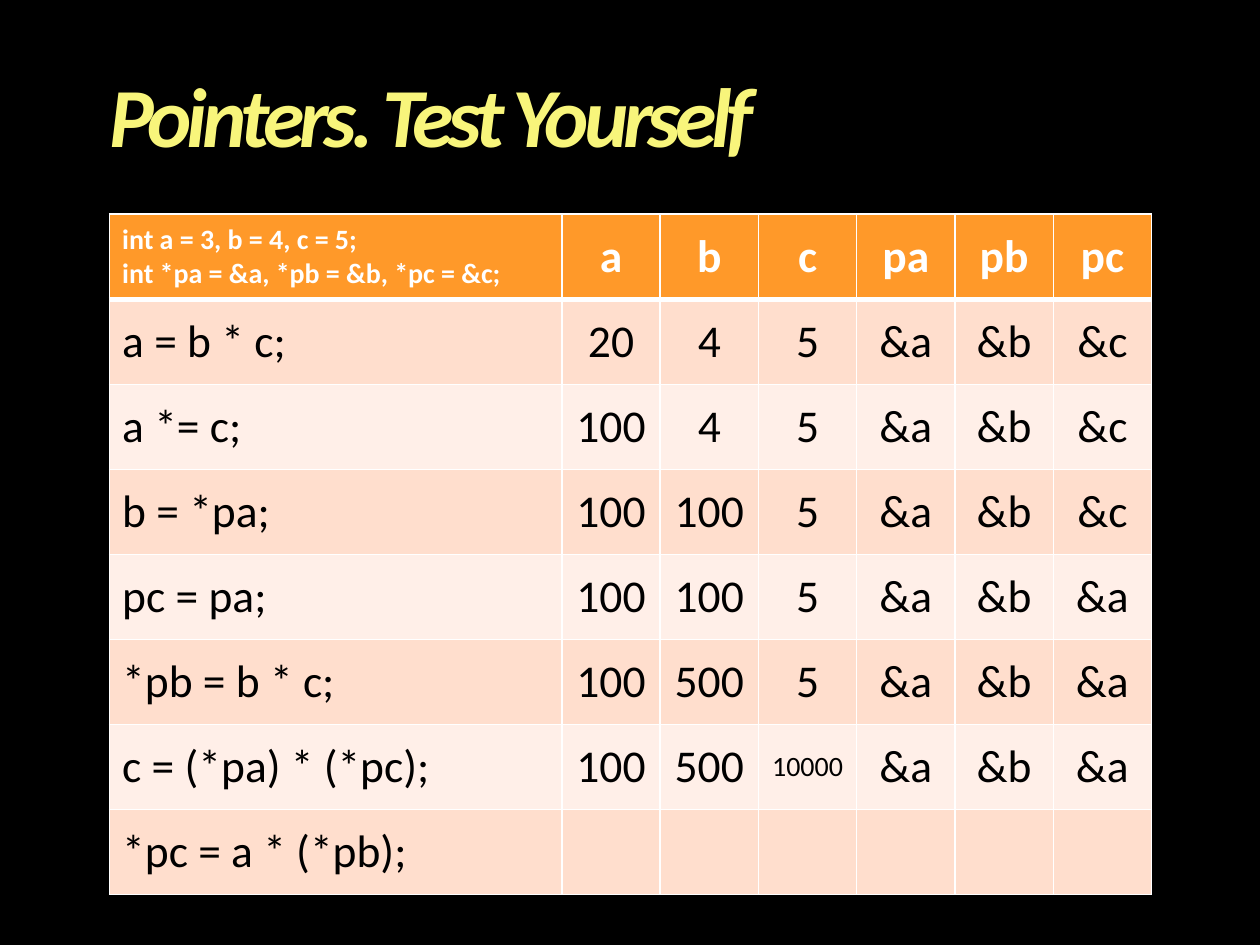
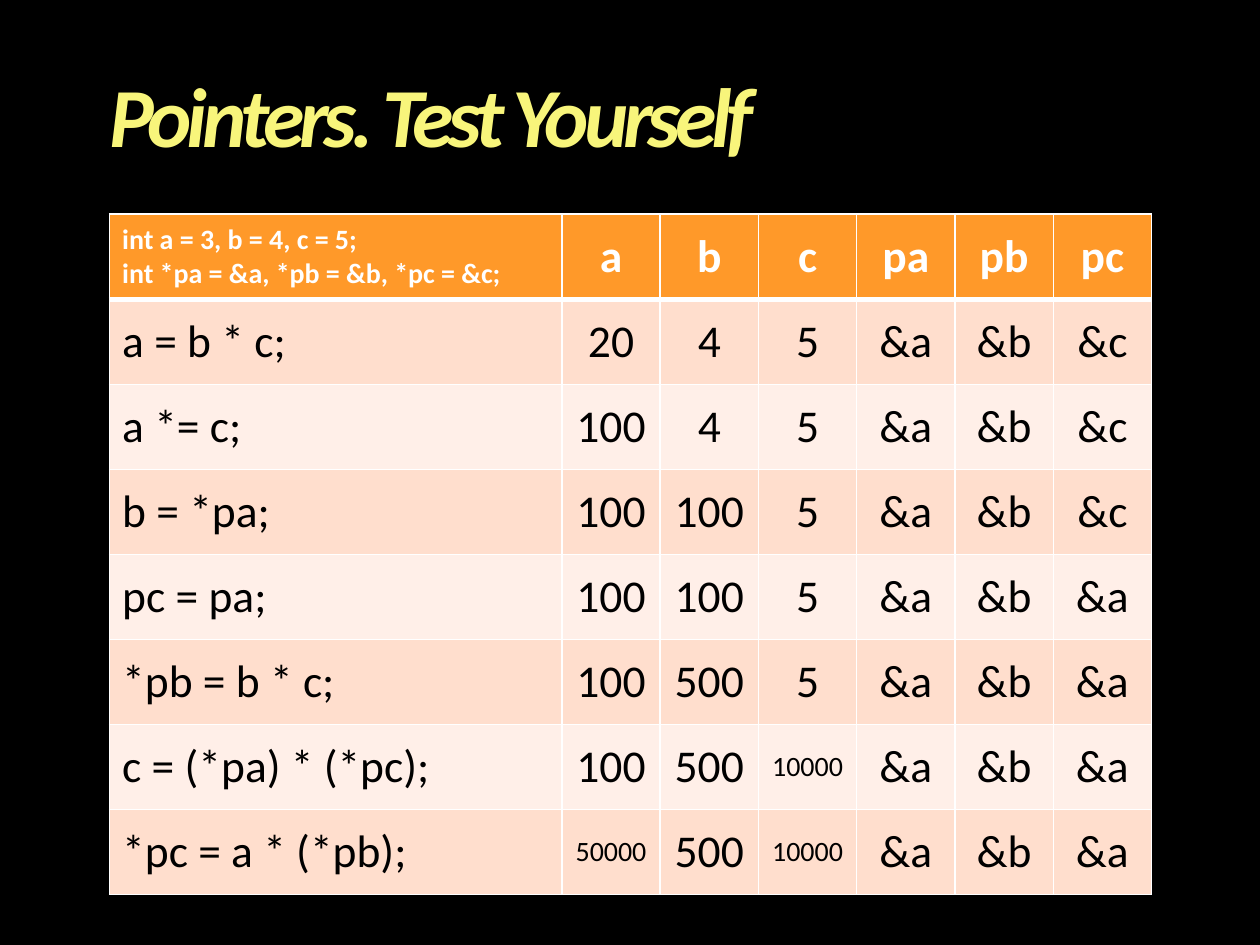
from lxml import etree
from pptx import Presentation
from pptx import util as u
from pptx.dml.color import RGBColor
from pptx.enum import text as t
from pptx.oxml import ns

BLACK = RGBColor(0, 0, 0)
WHITE = RGBColor(255, 255, 255)
YELLOW = RGBColor(0xF8, 0xF5, 0x7B)
ORANGE = RGBColor(0xFF, 0x99, 0x29)
BANDS = RGBColor(0xFF, 0xDE, 0xCD), RGBColor(0xFF, 0xEF, 0xE8)
FONT = "Calibri"
BIG, SMALL = 26, 16

LEFT, WIDTH = 0.87, 8.27
TITLE = LEFT, 0.6, WIDTH, 0.71
GRID = LEFT, 1.7, WIDTH, 5.4
NAME_W = 3.59

HEAD = ["int a = 3, b = 4, c = 5;\nint *pa = &a, *pb = &b, *pc = &c;",
        "a", "b", "c", "pa", "pb", "pc"]
STEPS = [
    ["a = b * c;", "20", "4", "5", "&a", "&b", "&c"],
    ["a *= c;", "100", "4", "5", "&a", "&b", "&c"],
    ["b = *pa;", "100", "100", "5", "&a", "&b", "&c"],
    ["pc = pa;", "100", "100", "5", "&a", "&b", "&a"],
    ["*pb = b * c;", "100", "500", "5", "&a", "&b", "&a"],
    ["c = (*pa) * (*pc);", "100", "500", "10000", "&a", "&b", "&a"],
]
LAST = "*pc = a * (*pb);"
ANSWER = ["50000", "500", "10000", "&a", "&b", "&a"]


def write(frame, words, size=BIG, color=BLACK, bold=False, italic=False,
          align=t.PP_ALIGN.LEFT, line=None, before=None, track=None):
    """Fill a text frame, one paragraph for each line of words."""
    for i, part in enumerate(words.split("\n")):
        para = frame.add_paragraph() if i else frame.paragraphs[0]
        para.alignment = align
        if line:
            para.line_spacing = line
        if before:
            para.space_before = u.Pt(before)
        run = para.add_run()
        run.text = part
        font = run.font
        font.name, font.size = FONT, u.Pt(size)
        font.bold, font.italic = bold, italic
        font.color.rgb = color
        if track:
            run._r.get_or_add_rPr().set("spc", str(track * 100))


def title(slide, box, words):
    """Place the slide title in the box."""
    frame = slide.shapes.add_textbox(*map(u.Inches, box)).text_frame
    frame.word_wrap = True
    frame.vertical_anchor = t.MSO_ANCHOR.MIDDLE
    frame.margin_left = frame.margin_right = 0
    frame.margin_top = frame.margin_bottom = 0
    write(frame, words, size=48, color=YELLOW, bold=True, italic=True,
          line=0.9, before=4.8, track=-3)


def border(cell, base):
    """Draw white cell borders; base is the width of the lower one."""
    props = cell._tc.get_or_add_tcPr()
    for i, (side, wide) in enumerate(zip("LRTB", (1, 1, 1, base))):
        edge = etree.Element(ns.qn("a:ln" + side), w=str(u.Pt(wide)))
        fill = etree.SubElement(edge, ns.qn("a:solidFill"))
        etree.SubElement(fill, ns.qn("a:srgbClr"), val=str(WHITE))
        props.insert(i, edge)


def grid(slide, box, rows):
    """Place the table of statements and variable values in the box."""
    count, cols = len(rows), len(rows[0])
    table = slide.shapes.add_table(count, cols, *map(u.Inches, box)).table
    rest = (box[2] - NAME_W) / (cols - 1)
    for j, col in enumerate(table.columns):
        col.width = u.Inches(rest if j else NAME_W)
    for i, row in enumerate(rows):
        table.rows[i].height = u.Inches(box[3] / count)
        for j, words in enumerate(row):
            cell = table.cell(i, j)
            cell.vertical_anchor = t.MSO_ANCHOR.MIDDLE
            cell.fill.solid()
            cell.fill.fore_color.rgb = BANDS[(i - 1) % 2] if i else ORANGE
            border(cell, 1 if i else 3)
            if words:
                tight = "\n" in words or (j and len(words) > 3)
                write(cell.text_frame, words, size=SMALL if tight else BIG,
                      color=BLACK if i else WHITE, bold=i == 0,
                      align=t.PP_ALIGN.CENTER if j else t.PP_ALIGN.LEFT)
                

def quiz(deck, values):
    """Add a test slide whose last statement yields the given values."""
    slide = deck.slides.add_slide(deck.slide_layouts[6])
    back = slide.background.fill
    back.solid()
    back.fore_color.rgb = BLACK
    title(slide, TITLE, "Pointers. Test Yourself")
    grid(slide, GRID, [HEAD, *STEPS, [LAST, *values]])


deck = Presentation()
deck.slide_width, deck.slide_height = u.Inches(10), u.Inches(7.5)
quiz(deck, [""] * len(ANSWER))
quiz(deck, ANSWER)
deck.save("out.pptx")
